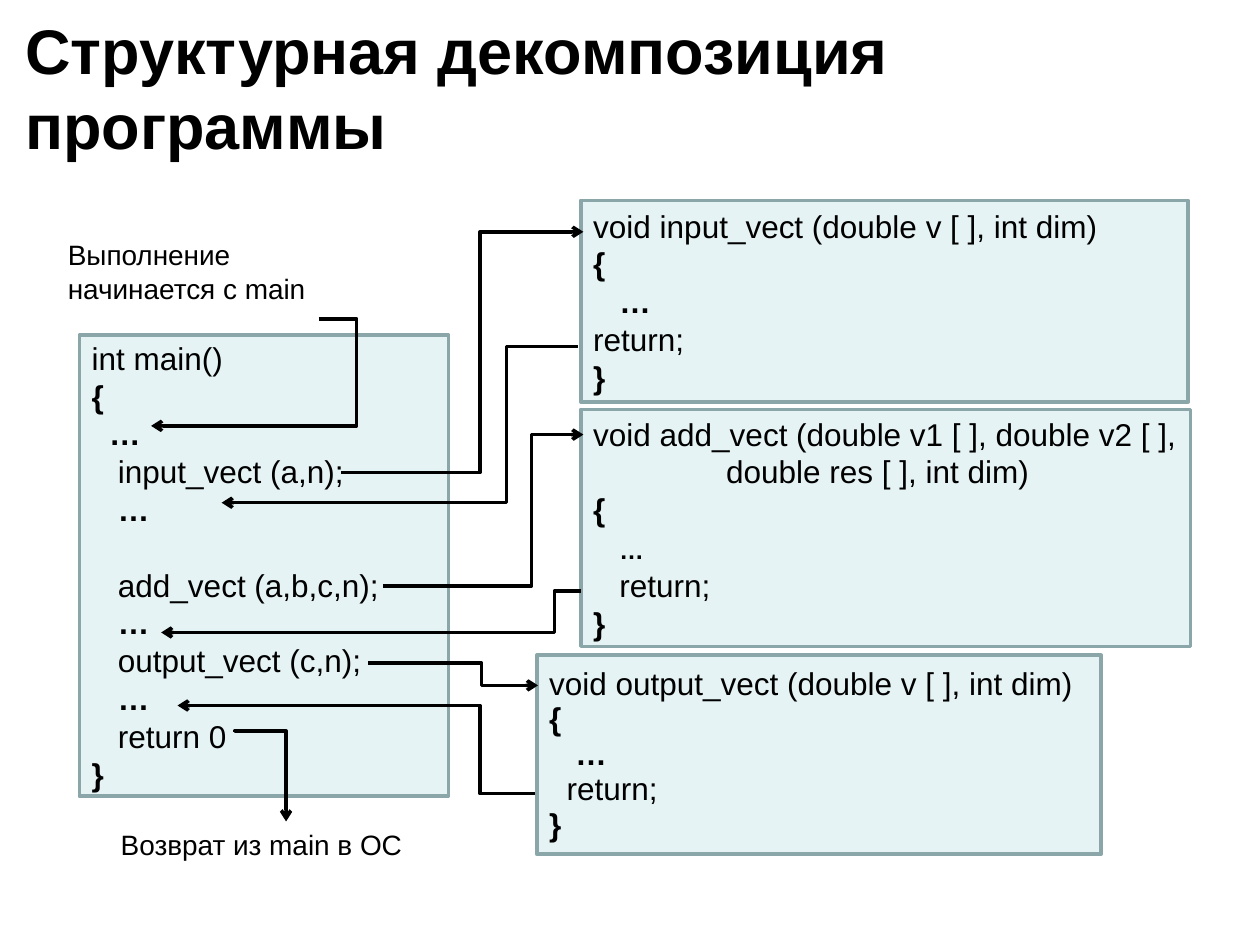
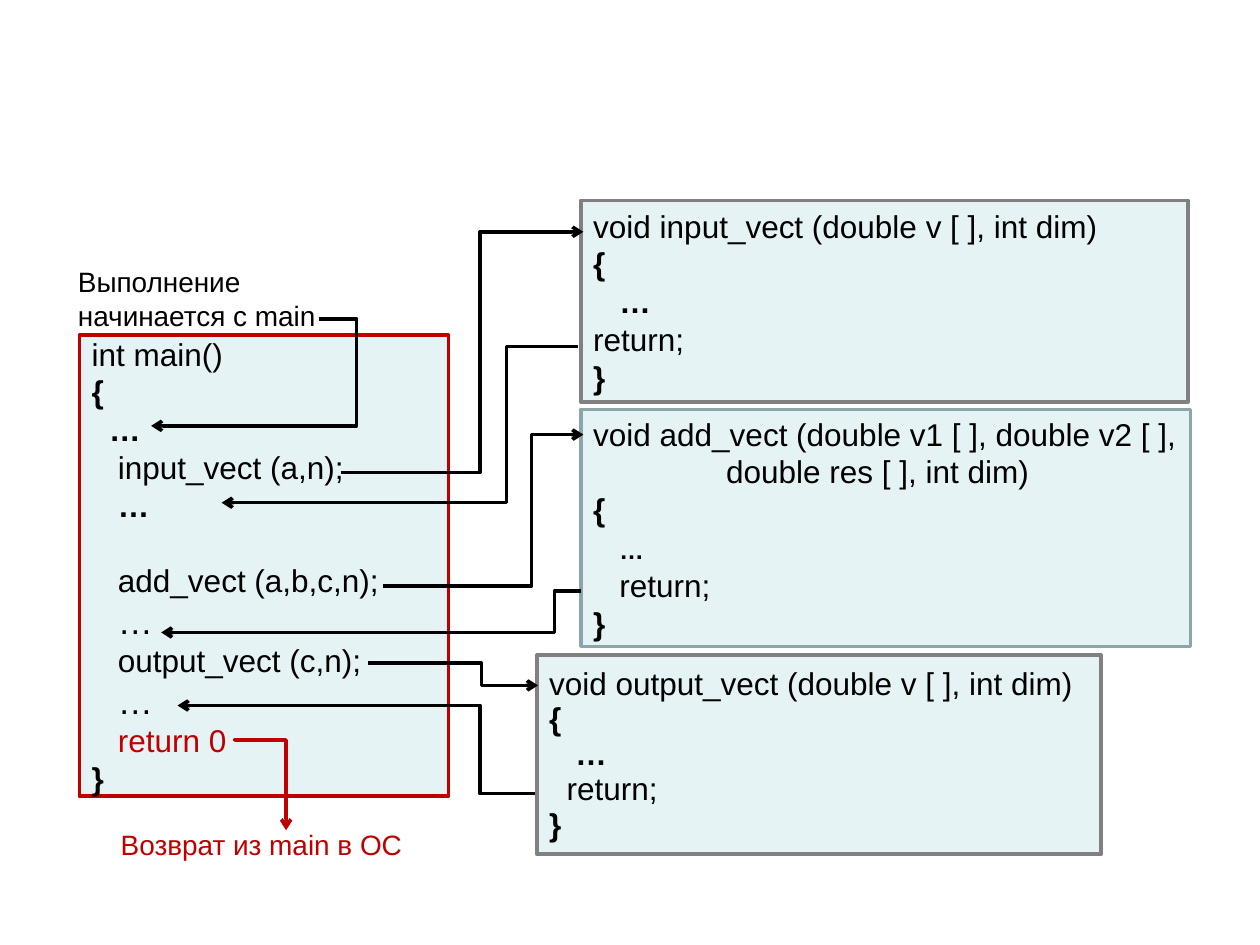
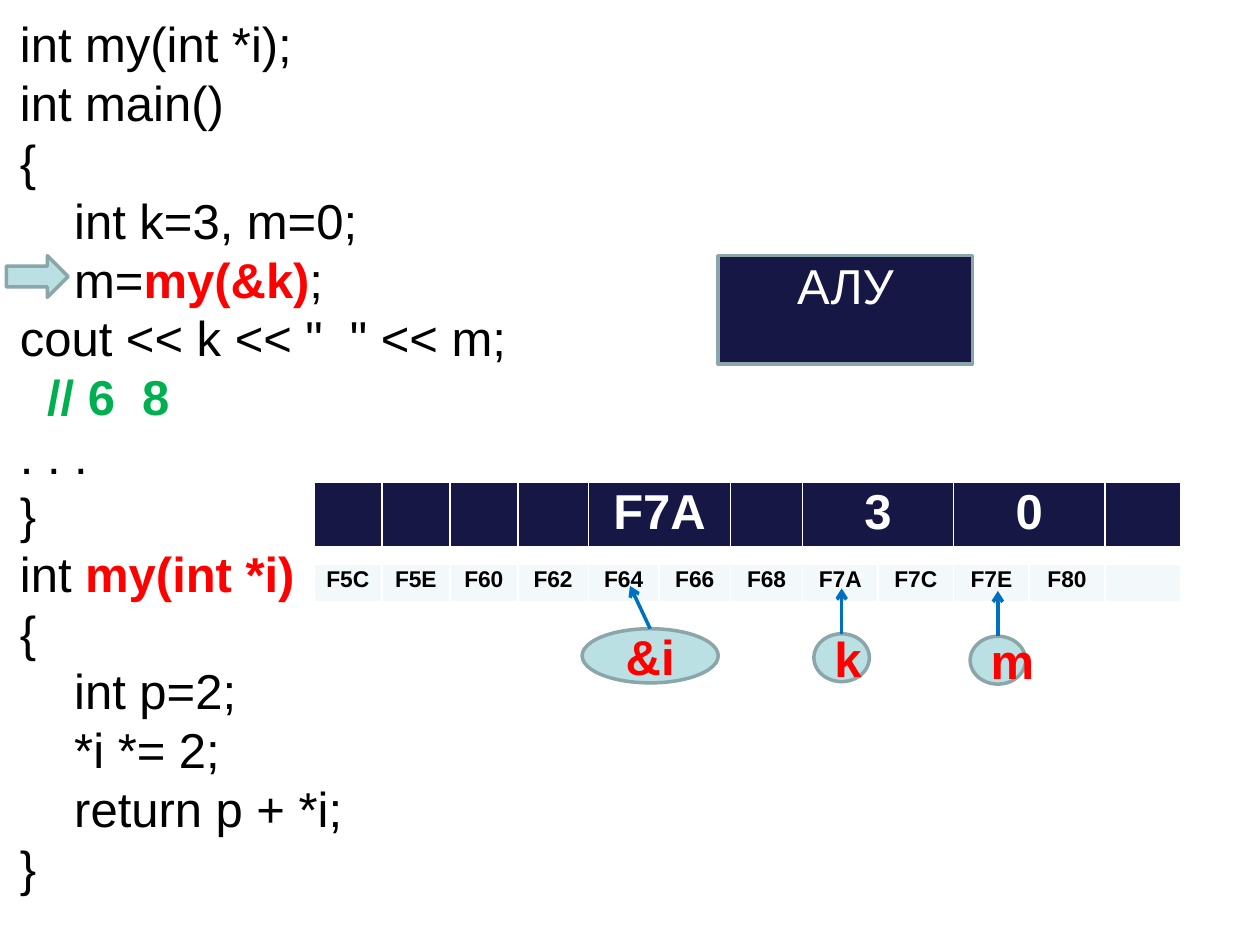
from dataclasses import dataclass

from lxml import etree
from pptx import Presentation
from pptx.dml.color import RGBColor
from pptx.enum import shapes, text
from pptx.oxml.ns import qn
from pptx.util import Inches, Pt


@dataclass(frozen=True)
class Theme:
    font: str = "Arial"
    black: str = "000000"
    white: str = "FFFFFF"
    pale: str = "BBE0E3"
    edge: str = "8AA6A8"
    grey: str = "808080"
    accent: str = "C00000"
    red: str = "FF0000"
    green: str = "00B050"
    blue: str = "0070C0"
    navy: str = "171745"
    address: str = "F3F9FA"
    title: int = 36
    large: int = 28
    code: int = 18
    note: int = 16
    cell: int = 13
    line: int = 2


T = Theme()

# ---- Content: decomposition slides ----
# A line is a string or a list of (text, size, colour, bold) runs;
# GAP leaves one empty line's height before the next line.
GAP = None
TITLE = "Структурная декомпозиция программы"
START_NOTE = "Выполнение начинается с main"
RETURN_NOTE = "Возврат из main в ОС"
INDENT = ("   ", T.code, T.black, False)
BIG_DOTS = [INDENT, ("…", 20, T.black, False)]


def main_code(dots, last):
    return ["int main()", "{", "  …", "   input_vect (a,n);", "   …", GAP,
            "   add_vect (a,b,c,n);", dots, "   output_vect (c,n);", dots, last, "}"]


INPUT_CODE = ["void input_vect (double v [ ], int dim)", "{", "   …", "return;", "}"]
ADD_CODE = ["void add_vect (double v1 [ ], double v2 [ ],",
            "\t        double res [ ], int dim)", "{",
            [INDENT, ("…", 14, T.black, True)], "   return;", "}"]
OUTPUT_CODE = ["void output_vect (double v [ ], int dim)", "{", "   …", "  return;", "}"]

MAIN_AT = (0.63, 2.66, 2.93, 3.66)
# (lines, place, exact line spacing in points)
FUNCTIONS = [
    (INPUT_CODE, (4.61, 1.59, 4.82, 1.6), None),
    (ADD_CODE, (4.61, 3.25, 4.84, 1.88), None),
    (OUTPUT_CODE, (4.26, 5.2, 4.48, 1.58), 20),
]
# Calls and returns: start, x of the vertical part, end
CALLS = [
    ((2.71, 3.75), 3.81, (4.63, 1.84)),
    ((4.59, 2.75), 4.02, (1.76, 3.99)),
    ((3.04, 4.65), 4.22, (4.63, 3.45)),
    ((4.61, 4.69), 4.4, (1.28, 5.02)),
    ((2.92, 5.26), 3.82, (4.27, 5.44)),
    ((4.25, 6.3), 3.81, (1.41, 5.6)),
    ((2.53, 2.53), 2.83, (1.2, 3.38)),
]
VARIANTS = [
    dict(title=TITLE, main=main_code("   …", "   return 0"), main_edge=T.edge,
         edges=[T.edge] * 3, start_at=(0.44, 1.84), exit_y=5.81, exit_color=T.black),
    dict(title=None,
         main=main_code(BIG_DOTS, [INDENT, ("return 0", T.code, T.accent, False)]),
         main_edge=T.accent, edges=[T.grey, T.edge, T.grey], start_at=(0.52, 2.05),
         exit_y=5.88, exit_color=T.accent),
]


# ---- Content: pointer slide ----
def big(words, color=T.black, bold=False):
    return (words, T.large, color, bold)


POINTER_CODE = [[big(line)] if isinstance(line, str) else line for line in [
    "int my(int *i);", "int main()", "{", "    int k=3, m=0;",
    [big("    m="), big("my(&k)", T.red, True), big(";")],
    [big('cout << k << "  " << m;   '), big("// 6  8", T.green, True)],
    ". . .", "}",
    [big("int "), big("my(int *i)", T.red, True)],
    "{", "    int p=2;", "    *i *= 2;", "    return p + *i;", "}"]]
ADDRESSES = ["F5C", "F5E", "F60", "F62", "F64", "F66", "F68",
             "F7A", "F7C", "F7E", "F80", ""]
VALUES = {4: "F7A", 7: "3", 9: "0"}  # first column of a two-column cell
COLUMN_WIDTHS = [0.54] * 3 + [0.56] * 2 + [0.57] * 2 + [0.6] * 5
ROW_HEIGHTS = [0.52, 0.13, 0.3]
# name, oval, arrow tip
VARIABLES = [
    ("k", (6.46, 5.03, 0.44, 0.38), (6.68, 4.67)),
    ("m", (7.7, 5.05, 0.44, 0.38), (7.92, 4.69)),
    ("&i", (4.62, 4.99, 1.08, 0.43), (5, 4.65)),
]


# ---- Helpers ----
def inches(values):
    return [Inches(v) for v in values]


def rgb(color):
    return RGBColor.from_string(color)


def add_run(paragraph, words, size, color, bold):
    run = paragraph.add_run()
    run.text = words
    font = run.font
    font.name, font.size, font.bold = T.font, Pt(size), bold
    font.color.rgb = rgb(color)


def write(frame, lines, align=text.PP_ALIGN.LEFT, spacing=None):
    paragraph, gap = frame.paragraphs[0], False
    first = True
    for line in lines:
        if line is GAP:
            gap = True
            continue
        if not first:
            paragraph = frame.add_paragraph()
        first = False
        paragraph.alignment = align
        if spacing:
            paragraph.line_spacing = Pt(spacing)
        if gap:
            paragraph.space_before, gap = Pt(21.6), False
        if isinstance(line, str):
            line = [(line, T.code, T.black, line.strip() in ("{", "}", "…"))]
        for run in line:
            add_run(paragraph, *run)


def add_box(slide, kind, at, fill, edge=T.edge, alpha=None):
    box = slide.shapes.add_shape(kind, *inches(at))
    box.shadow.inherit = False
    box.fill.solid()
    box.fill.fore_color.rgb = rgb(fill)
    if alpha:
        color = box.fill._xPr.find(qn("a:solidFill"))[0]
        etree.SubElement(color, qn("a:alpha"), val=str(alpha * 1000))
    box.line.color.rgb = rgb(edge)
    box.line.width = Pt(T.line)
    box.text_frame.word_wrap = True
    box.text_frame.vertical_anchor = text.MSO_ANCHOR.MIDDLE
    return box


def add_code_box(slide, lines, at, edge, spacing=None):
    box = add_box(slide, shapes.MSO_SHAPE.RECTANGLE, at, T.pale, edge, alpha=37)
    write(box.text_frame, lines, spacing=spacing)


def add_text(slide, lines, at):
    frame = slide.shapes.add_textbox(*inches(at)).text_frame
    frame.word_wrap = True
    frame.auto_size = text.MSO_AUTO_SIZE.SHAPE_TO_FIT_TEXT
    write(frame, lines)


def add_arrow(slide, kind, start, end, color):
    arrow = slide.shapes.add_connector(kind, *inches(start + end))
    arrow.line.color.rgb = rgb(color)
    arrow.line.width = Pt(T.line)
    properties = arrow._element.spPr
    etree.SubElement(properties.find(qn("a:ln")), qn("a:tailEnd"), type="arrow")
    etree.SubElement(properties, qn("a:effectLst"))
    return arrow


def add_elbow(slide, start, end, bend, color=T.black):
    """bend is the share of the way at which the arrow turns."""
    arrow = add_arrow(slide, shapes.MSO_CONNECTOR.ELBOW, start, end, color)
    guides = arrow._element.spPr.find(qn("a:prstGeom")).get_or_add_avLst()
    etree.SubElement(guides, qn("a:gd"), name="adj1", fmla=f"val {round(bend * 100000)}")
    return arrow


def add_exit_arrow(slide, y, color):
    """Goes right, then down: a mirrored elbow turned by 270 degrees."""
    left, width, height = 1.86, 0.41, 0.71
    cx, cy = left + width / 2, y + height / 2
    arrow = add_elbow(slide, (cx + height / 2, cy - width / 2),
                      (cx - height / 2, cy + width / 2), -0.01, color)
    arrow._element.spPr.find(qn("a:xfrm")).set("rot", str(270 * 60000))


def set_border(cell, bottom):
    properties = cell._tc.get_or_add_tcPr()
    for index, (side, width) in enumerate(
            [("lnL", 1), ("lnR", 1), ("lnT", 1), ("lnB", bottom)]):
        line = etree.Element(qn(f"a:{side}"), w=str(Pt(width)))
        fill = etree.SubElement(line, qn("a:solidFill"))
        etree.SubElement(fill, qn("a:srgbClr"), val=T.white)
        properties.insert(index, line)


# ---- Slides ----
def add_decomposition(deck, variant):
    slide = deck.slides.add_slide(deck.slide_layouts[5 if variant["title"] else 6])
    if variant["title"]:
        title = slide.shapes.title
        title.left, title.top, title.width, title.height = inches((0.1, 0.04, 9.9, 0.76))
        frame = title.text_frame
        frame.word_wrap = True
        frame.auto_size = text.MSO_AUTO_SIZE.NONE
        frame.vertical_anchor = text.MSO_ANCHOR.TOP
        write(frame, [[(variant["title"], T.title, T.black, True)]])

    add_code_box(slide, variant["main"], MAIN_AT, variant["main_edge"])
    for (lines, at, spacing), edge in zip(FUNCTIONS, variant["edges"]):
        add_code_box(slide, lines, at, edge, spacing)

    add_text(slide, [[(START_NOTE, T.note, T.black, False)]],
             variant["start_at"] + (2.51, 0.64))
    add_exit_arrow(slide, variant["exit_y"], variant["exit_color"])
    add_text(slide, [[(RETURN_NOTE, T.note, variant["exit_color"], False)]],
             (0.86, 6.52, 2.81, 0.37))
    for start, turn_x, end in CALLS:
        add_elbow(slide, start, end, (turn_x - start[0]) / (end[0] - start[0]))


def add_memory(slide):
    table = slide.shapes.add_table(
        len(ROW_HEIGHTS), len(ADDRESSES),
        *inches((2.49, 3.83, sum(COLUMN_WIDTHS), sum(ROW_HEIGHTS)))).table
    for column, width in zip(table.columns, COLUMN_WIDTHS):
        column.width = Inches(width)
    for row, height in zip(table.rows, ROW_HEIGHTS):
        row.height = Inches(height)
    values = [VALUES.get(i, "") for i in range(len(ADDRESSES))]
    rows = [(values, T.navy, T.white, T.large, 3),
            ([""] * len(ADDRESSES), T.white, T.black, 1, 1),
            (ADDRESSES, T.address, T.black, T.cell, 1)]
    for r, (words, fill, color, size, bottom) in enumerate(rows):
        for c, word in enumerate(words):
            cell = table.cell(r, c)
            cell.fill.solid()
            cell.fill.fore_color.rgb = rgb(fill)
            cell.margin_left = cell.margin_right = Inches(0.05)
            cell.margin_top = cell.margin_bottom = Inches(0.02)
            set_border(cell, bottom)
            if word:
                write(cell.text_frame, [[(word, size, color, True)]],
                      text.PP_ALIGN.CENTER)
            else:
                etree.SubElement(cell.text_frame.paragraphs[0]._p,
                                 qn("a:endParaRPr"), sz=str(min(size, T.cell) * 100))
    for c in VALUES:
        table.cell(0, c).merge(table.cell(0, c + 1))


def add_pointers(deck):
    slide = deck.slides.add_slide(deck.slide_layouts[6])
    add_box(slide, shapes.MSO_SHAPE.RIGHT_ARROW, (0.05, 2.03, 0.49, 0.33), T.pale)
    add_memory(slide)
    for name, at, tip in VARIABLES:
        oval = add_box(slide, shapes.MSO_SHAPE.OVAL, at, T.pale)
        write(oval.text_frame, [[big(name, T.red, True)]], text.PP_ALIGN.CENTER)
        top = (at[0] + at[2] / 2, at[1])
        pointer = add_arrow(slide, shapes.MSO_CONNECTOR.STRAIGHT, top, tip, T.blue)
        pointer.begin_connect(oval, 0)

    alu = add_box(slide, shapes.MSO_SHAPE.RECTANGLE, (5.7, 2.03, 2.02, 0.86), T.navy)
    alu.text_frame.vertical_anchor = text.MSO_ANCHOR.TOP
    alu.text_frame.margin_top = 0
    write(alu.text_frame, [[big("АЛУ", T.white)]], text.PP_ALIGN.CENTER)
    add_text(slide, POINTER_CODE, (0.06, 0.06, 4.09, 7.17))


def main():
    deck = Presentation()
    deck.slide_width, deck.slide_height = Inches(10), Inches(7.5)
    for variant in VARIANTS:
        add_decomposition(deck, variant)
    add_pointers(deck)
    deck.save("out.pptx")


if __name__ == "__main__":
    main()
